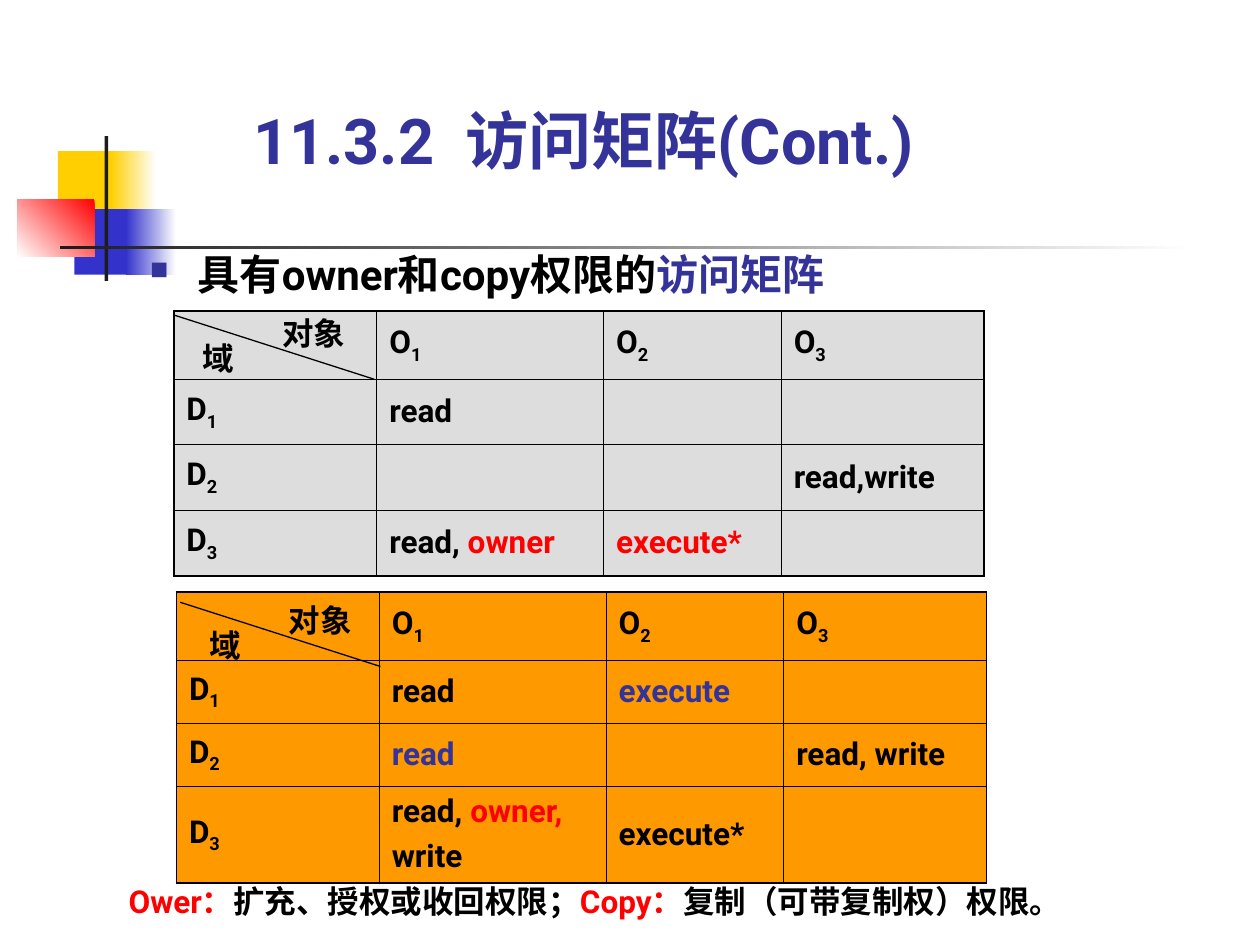
from lxml import etree
from pptx import Presentation
from pptx.dml.color import RGBColor
from pptx.enum import shapes, text
from pptx.oxml import ns
from pptx.util import Inches, Pt

BLACK = RGBColor(0, 0, 0)
WHITE = RGBColor(255, 255, 255)
INK = RGBColor(0x1C, 0x1C, 0x1C)
NAVY = RGBColor(0x33, 0x33, 0x99)
BLUE = RGBColor(0x33, 0x33, 0xCC)
GOLD = RGBColor(0xFF, 0xCF, 0x01)
RED = RGBColor(255, 0, 0)
GREY = RGBColor(0xDD, 0xDD, 0xDD)
AMBER = RGBColor(0xFF, 0x99, 0)
FONT = "Roboto"
SUB = "subscript"
THIN, THICK = 0.45, 1.08

# left, top, width, height, colours (one = solid), angle counter-clockwise
DECOR = [
    (0.46, 1.2, 0.48, 0.52, [GOLD], 0),
    (0.88, 1.2, 0.36, 0.52, [WHITE, GOLD], 180),
    (0.59, 1.66, 0.46, 0.52, [BLUE], 0),
    (1, 1.66, 0.4, 0.52, [WHITE, BLUE], 180),
    (0.14, 1.58, 0.61, 0.46, [RED, WHITE], 225),
    (0.83, 1.08, 0.03, 1.15, [INK], 0),
    (0.48, 1.95, 9, 0.03, [WHITE, INK], 180),
]

# A line of text is a list of (words, colour or SUB) runs.
TITLE = [("11.3.2  访问矩阵(Cont.)", NAVY)]
POINT = [("具有owner和copy权限的", BLACK), ("访问矩阵", NAVY)]
NOTE = [("Ower：", RED), ("扩充、授权或收回权限；", BLACK),
        ("Copy：", RED), ("复制（可带复制权）权限。", BLACK)]

READ = [("read", BLACK)]
COLS = [1.61, 1.8, 1.41, 1.61]
# Each body cell is a list of lines.
GRIDS = [
    {"at": (1.38, 2.47), "fill": GREY, "rows": [0.54, 0.52, 0.52, 0.52],
     "mark": (1.38, 2.5),
     "body": [
         [[READ], [], []],
         [[], [], [[("read,write", BLACK)]]],
         [[[("read, ", BLACK), ("owner", RED)]], [[("execute*", RED)]], []],
     ]},
    {"at": (1.4, 4.7), "fill": AMBER, "rows": [0.54, 0.5, 0.5, 0.77],
     "mark": (1.43, 4.78),
     "body": [
         [[READ], [[("execute", NAVY)]], []],
         [[[("read", NAVY)]], [], [[("read, write", BLACK)]]],
         [[[("read, ", BLACK), ("owner,", RED)], [("write", BLACK)]],
          [[("execute*", BLACK)]], []],
     ]},
]


def write(frame, lines, size=18, gap=0, space=None, bullet=False):
    for i, line in enumerate(lines):
        para = frame.paragraphs[0] if i == 0 else frame.add_paragraph()
        if bullet:
            add_bullet(para)
        if i:
            para.space_before = Pt(gap)
        if space:
            para.line_spacing = space
        for words, look in line:
            run = para.add_run()
            run.text = words
            font = run.font
            font.name, font.size, font.bold = FONT, Pt(size), True
            font.color.rgb = BLACK if look == SUB else look
            props = run._r.get_or_add_rPr()
            etree.SubElement(props, ns.qn("a:ea"), typeface=FONT)
            if look == SUB:
                props.set("baseline", "-25000")


def add_bullet(para):
    props = para._p.get_or_add_pPr()
    props.set("marL", str(Inches(0.38)))
    props.set("indent", str(-Inches(0.38)))
    tint = etree.SubElement(props, ns.qn("a:buClr"))
    etree.SubElement(tint, ns.qn("a:srgbClr"), val=str(NAVY))
    etree.SubElement(props, ns.qn("a:buSzPct"), val="60000")
    etree.SubElement(props, ns.qn("a:buChar"), char="■")


def add_text(host, box, lines, low=False, **form):
    frame = host.add_textbox(*map(Inches, box)).text_frame
    frame.word_wrap = True
    frame.auto_size = text.MSO_AUTO_SIZE.SHAPE_TO_FIT_TEXT
    frame.margin_left = frame.margin_right = 0
    frame.margin_top = frame.margin_bottom = 0
    frame.vertical_anchor = text.MSO_ANCHOR.BOTTOM if low else text.MSO_ANCHOR.TOP
    write(frame, lines, **form)


def add_decor(host):
    for *box, tones, angle in DECOR:
        block = host.add_shape(shapes.MSO_SHAPE.RECTANGLE, *map(Inches, box))
        block.shadow.inherit = False
        block.line.fill.background()
        if len(tones) == 1:
            block.fill.solid()
            block.fill.fore_color.rgb = tones[0]
            continue
        block.fill.gradient()
        block.fill.gradient_angle = angle
        for stop, tone in zip(block.fill.gradient_stops, tones):
            stop.color.rgb = tone


def add_edges(cell, edges):
    """Draw the cell's borders from a dict of side to width in points."""
    props = cell._tc.get_or_add_tcPr()
    for side, width in edges.items():
        line = etree.SubElement(props, ns.qn("a:ln" + side), w=str(Pt(width)))
        fill = etree.SubElement(line, ns.qn("a:solidFill"))
        etree.SubElement(fill, ns.qn("a:srgbClr"), val=str(BLACK))


def add_grid(host, grid):
    rows = grid["rows"]
    box = (*grid["at"], sum(COLS), sum(rows))
    table = host.add_table(len(rows), len(COLS), *map(Inches, box)).table
    table.first_row = table.horz_banding = False
    for col, width in zip(table.columns, COLS):
        col.width = Inches(width)
    for row, height in zip(table.rows, rows):
        row.height = Inches(height)

    head = [[]] + [[[("O", BLACK), (str(n), SUB)]] for n in (1, 2, 3)]
    body = [[[[("D", BLACK), (str(n), SUB)]]] + cells
            for n, cells in enumerate(grid["body"], 1)]
    for r, line in enumerate([head] + body):
        for c, lines in enumerate(line):
            cell = table.cell(r, c)
            outer = {"L": c == 0, "R": c == len(COLS) - 1,
                     "T": r == 0, "B": r == len(rows) - 1}
            add_edges(cell, {s: THICK if out else THIN for s, out in outer.items()})
            cell.fill.solid()
            cell.fill.fore_color.rgb = grid["fill"]
            cell.vertical_anchor = text.MSO_ANCHOR.MIDDLE
            write(cell.text_frame, lines, gap=4.5)


def add_mark(host, x, y):
    """Split the corner cell with a diagonal and its two labels."""
    group = host.add_group_shape().shapes
    add_text(group, (x + 0.86, y - 0.01, 0.53, 0.3), [[("对象", BLACK)]])
    ends = (x, y, x + 1.59, y + 0.51)
    line = group.add_connector(shapes.MSO_CONNECTOR.STRAIGHT, *map(Inches, ends))
    line.line.color.rgb = BLACK
    line.line.width = Pt(0.75)
    etree.SubElement(line._element.spPr, ns.qn("a:effectLst"))
    add_text(group, (x + 0.23, y + 0.19, 0.53, 0.3), [[("域", BLACK)]])


def main():
    deck = Presentation()
    deck.slide_width, deck.slide_height = Inches(10), Inches(7.5)
    host = deck.slides.add_slide(deck.slide_layouts[6]).shapes
    add_decor(host)
    add_text(host, (2.01, 0.81, 5.84, 0.6), [TITLE], size=36, low=True)
    add_text(host, (1.19, 1.97, 5.79, 0.8), [POINT], size=24, bullet=True)
    for grid in GRIDS:
        add_grid(host, grid)
        add_mark(host, *grid["mark"])
    add_text(host, (1.02, 6.91, 7.72, 0.39), [NOTE], space=1.3)
    deck.save("out.pptx")


if __name__ == "__main__":
    main()
